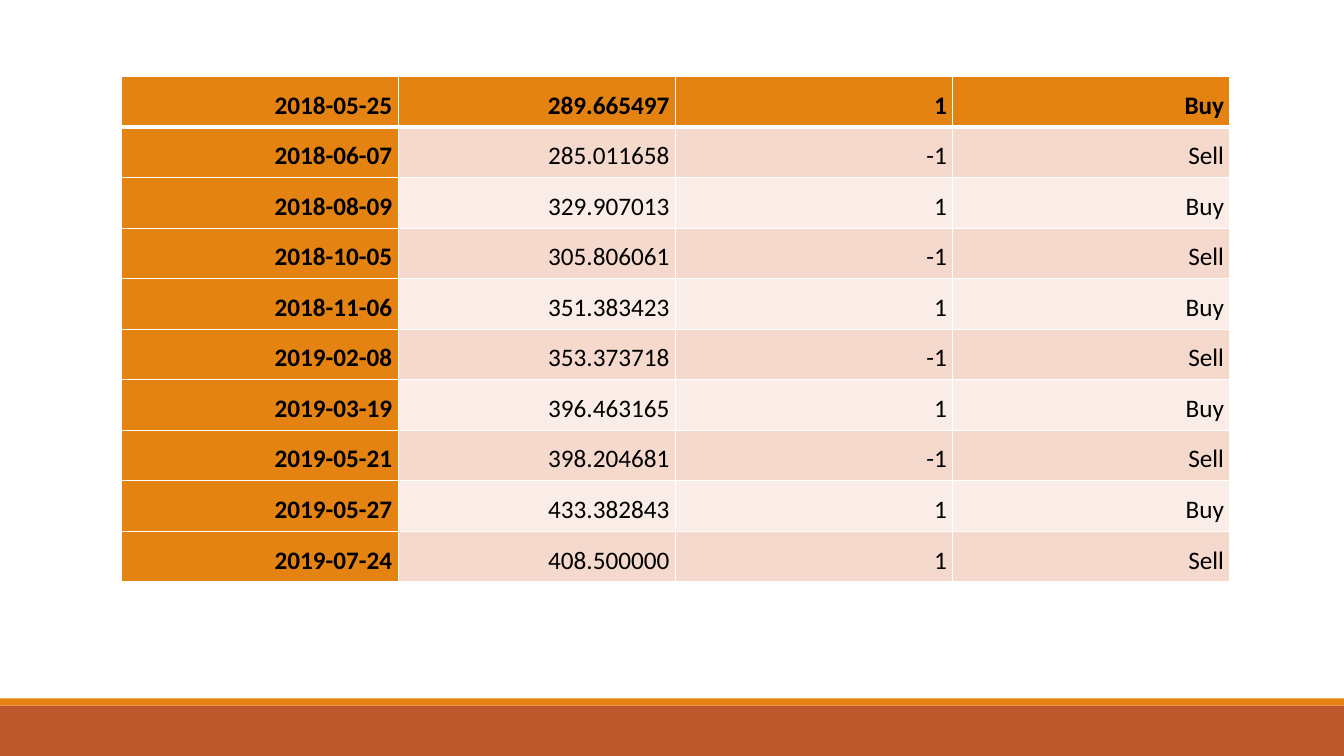
from dataclasses import dataclass

from lxml.etree import SubElement as Sub
from pptx import Presentation
from pptx.dml.color import RGBColor as Rgb
from pptx.enum.shapes import MSO_SHAPE as Shape
from pptx.enum.text import MSO_ANCHOR as Anchor, PP_ALIGN as Align
from pptx.oxml.ns import qn
from pptx.util import Inches, Pt


@dataclass(frozen=True)
class Theme:
    """Colours, font and type sizes of the slide."""
    gold: str = "E48312"
    rust: str = "BD582C"
    dark: str = "F5D9CC"
    light: str = "FAEDE7"
    ink: str = "000000"
    rule: str = "FFFFFF"
    font: str = "Calibri"
    size: float = 18
    thin: float = 1
    thick: float = 3


THEME = Theme()
TRADES = [
    ("2018-05-25", "289.665497", "1", "Buy"),
    ("2018-06-07", "285.011658", "-1", "Sell"),
    ("2018-08-09", "329.907013", "1", "Buy"),
    ("2018-10-05", "305.806061", "-1", "Sell"),
    ("2018-11-06", "351.383423", "1", "Buy"),
    ("2019-02-08", "353.373718", "-1", "Sell"),
    ("2019-03-19", "396.463165", "1", "Buy"),
    ("2019-05-21", "398.204681", "-1", "Sell"),
    ("2019-05-27", "433.382843", "1", "Buy"),
    ("2019-07-24", "408.500000", "1", "Sell"),
]
PAD = Inches(0.06)
CELL = {"vertical_anchor": Anchor.MIDDLE, "margin_left": PAD,
        "margin_right": PAD, "margin_top": PAD, "margin_bottom": PAD}
PARA = {"alignment": Align.RIGHT, "line_spacing": 1.25, "space_before": Pt(9)}
FONT = {"name": THEME.font, "size": Pt(THEME.size)}


def apply(item, form):
    """Set each attribute in form on item."""
    for key, value in form.items():
        setattr(item, key, value)


def paint(fill, tone):
    """Give a fill one solid colour."""
    fill.solid()
    fill.fore_color.rgb = Rgb.from_string(tone)


def add_bar(slide, top, high, tone):
    """Draw a plain bar across the slide."""
    bar = slide.shapes.add_shape(
        Shape.RECTANGLE, 0, Inches(top), Inches(13.33), Inches(high))
    bar.shadow.inherit = False
    bar.line.fill.background()
    paint(bar.fill, tone)


def add_rules(cell, row):
    """Edge a cell in white, with a thick rule under the first row."""
    props = cell._tc.get_or_add_tcPr()
    heavy = {0: "B", 1: "T"}.get(row)
    for side in "LRTB":
        width = THEME.thick if side == heavy else THEME.thin
        line = Sub(props, qn(f"a:ln{side}"), w=str(Pt(width)))
        solid = Sub(line, qn("a:solidFill"))
        Sub(solid, qn("a:srgbClr"), val=THEME.rule)


def fill_cell(cell, text, row, col):
    """Write and style one cell by its place in the grid."""
    head = row == 0 or col == 0
    band = THEME.dark if row % 2 else THEME.light
    apply(cell, CELL)
    add_rules(cell, row)
    paint(cell.fill, THEME.gold if head else band)
    para = cell.text_frame.paragraphs[0]
    apply(para, PARA)
    run = para.add_run()
    run.text = text
    apply(run.font, {**FONT, "bold": head})
    run.font.color.rgb = Rgb.from_string(THEME.ink)


def add_trades(slide):
    """Lay out the table of trades."""
    table = slide.shapes.add_table(
        len(TRADES), len(TRADES[0]), Inches(1.2), Inches(0.76),
        Inches(11), Inches(4.9)).table
    for row, trade in enumerate(TRADES):
        for col, text in enumerate(trade):
            fill_cell(table.cell(row, col), text, row, col)


def main():
    """Build and save the slide."""
    deck = Presentation()
    apply(deck, {"slide_width": Inches(13.33), "slide_height": Inches(7.5)})
    slide = deck.slides.add_slide(deck.slide_layouts[6])
    add_bar(slide, 7, 0.5, THEME.rust)
    add_bar(slide, 6.93, 0.07, THEME.gold)
    add_trades(slide)
    deck.save("out.pptx")


if __name__ == "__main__":
    main()
